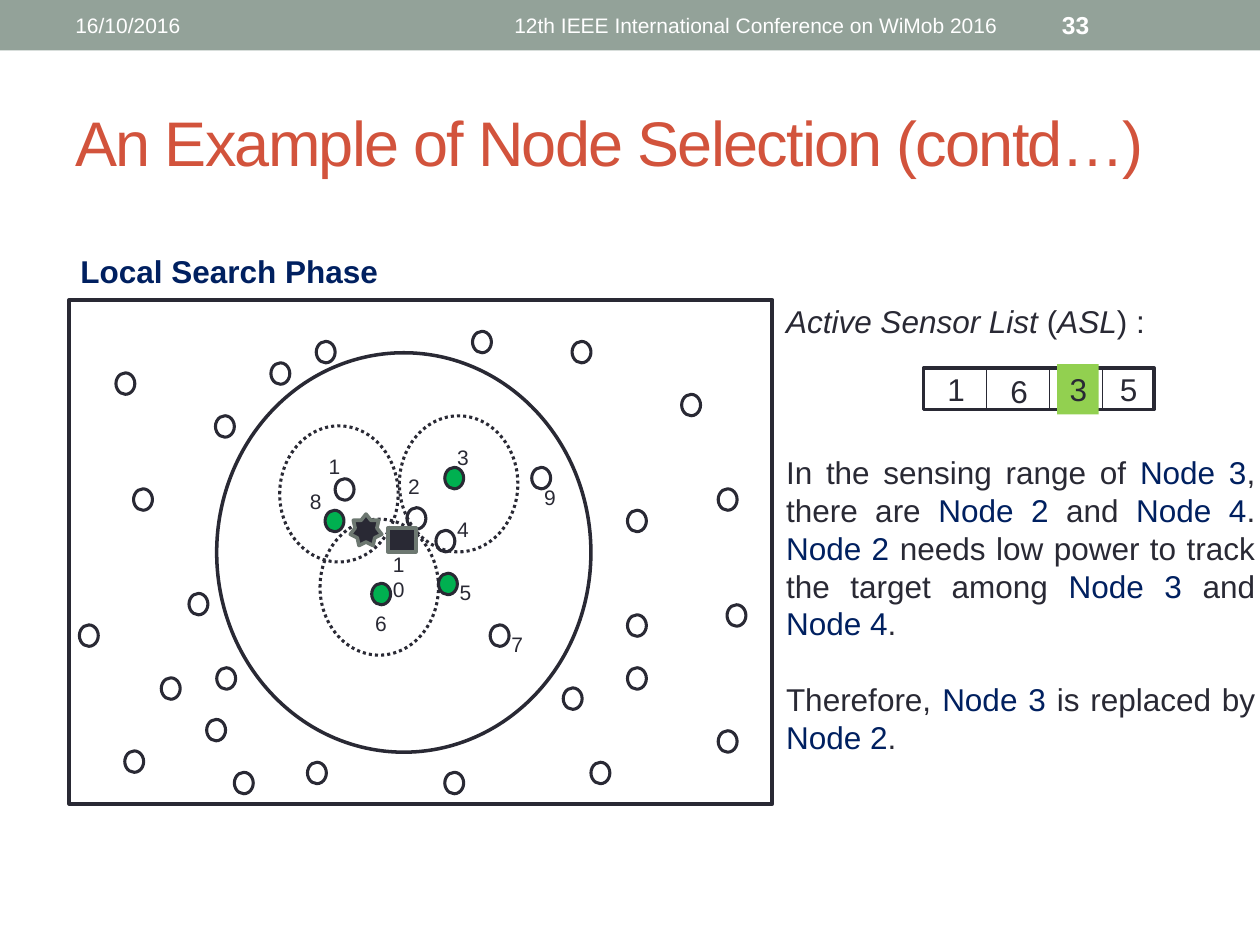
from lxml import etree
from pptx import Presentation
from pptx.dml.color import RGBColor
from pptx.enum import dml, shapes as sh, text as tx
from pptx.oxml.ns import qn
from pptx.util import Inches, Pt

INK, NAVY, GREEN, WHITE, EDGE = "292934", "002060", "00B050", "FFFFFF", "6D7871"
NODE_W, NODE_H = 0.15, 0.17
RANGE_W, RANGE_H = 0.94, 1.08

IDLE_NODES = [
    (1.96, 0.33), (0.08, 2.58), (3.99, 0.33), (0.95, 2.33), (0.37, 0.58), (1.16, 0.92),
    (0.51, 1.5), (0.44, 3.58), (4.43, 2.5), (4.86, 0.75), (5.15, 1.5), (5.15, 3.42),
    (5.22, 2.42), (1.31, 3.75), (1.17, 2.92), (0.73, 3), (1.89, 3.67), (1.09, 3.33),
    (2.98, 3.75), (3.2, 0.25), (3.92, 3.08), (4.43, 2.92), (1.6, 0.5), (2.68, 1.65),
    (3.67, 1.33), (2.91, 1.83), (4.43, 1.67), (3.34, 2.58), (4.14, 3.67),
]
ACTIVE_NODES = [(2.4, 2.25), (2.03, 1.67), (2.98, 1.33), (2.93, 2.17)]
SENSING_RANGES = [(1.67, 1), (1.99, 1.74), (2.62, 0.92)]
NODE_LABELS = [
    ("1", 1.96, 1.17, 0.26), ("8", 1.91, 1.45, 0.09), ("2", 2.59, 1.33, 0.26),
    ("3", 2.98, 1.1, 0.26), ("4", 2.98, 1.67, 0.26), ("10", 2.47, 1.95, 0.34),
    ("6", 2.33, 2.42, 0.26), ("5", 3, 2.17, 0.26), ("7", 3.41, 2.58, 0.26),
    ("9", 3.67, 1.42, 0.26),
]


def rgb(value):
    """Return the colour for a hex string."""
    return RGBColor.from_string(value)


def add_outline(shapes, kind, box, fill=None, line=INK, width=1.75):
    """Add a preset shape with an optional fill and outline."""
    outline = shapes.add_shape(kind, *map(Inches, box))
    outline.shadow.inherit = False
    if fill:
        outline.fill.solid()
        outline.fill.fore_color.rgb = rgb(fill)
    else:
        outline.fill.background()
    if line:
        outline.line.color.rgb = rgb(line)
        outline.line.width = Pt(width)
    else:
        outline.line.fill.background()
    return outline


def add_run(paragraph, words, size, colour=INK, bold=False, italic=False):
    """Append one formatted run and return it."""
    run = paragraph.add_run()
    run.text = words
    font = run.font
    font.name, font.size, font.bold, font.italic = "Arial", Pt(size), bold, italic
    font.color.rgb = rgb(colour)
    return run


def add_label(shapes, box, words, size, colour=INK, bold=False, wrap=True,
              anchor=tx.MSO_ANCHOR.TOP, align=tx.PP_ALIGN.LEFT):
    """Add a text box holding a single run."""
    label = shapes.add_textbox(*map(Inches, box))
    frame = label.text_frame
    frame.word_wrap = wrap
    frame.vertical_anchor = anchor
    frame.paragraphs[0].alignment = align
    add_run(frame.paragraphs[0], words, size, colour, bold)
    return label


def add_header(slide, left, top, width, height):
    """Draw the header band with date, conference and page number."""
    add_outline(slide.shapes, sh.MSO_SHAPE.RECTANGLE, (left, top, width, height), "93A299", None)
    for words, x, w, size, bold, align in [
        ("12th IEEE International Conference on WiMob 2016", 3.75, 4.5, 12, False, tx.PP_ALIGN.CENTER),
        ("33", 8.33, 1.17, 14, True, tx.PP_ALIGN.LEFT),
        ("16/10/2016", 0.5, 3.17, 12, False, tx.PP_ALIGN.LEFT),
    ]:
        add_label(slide.shapes, (left + x, top + 0.02, w, height - 0.04), words, size, WHITE,
                  bold, anchor=tx.MSO_ANCHOR.MIDDLE, align=align)


def add_title(slide, left, top, width, height):
    """Place and format the title placeholder."""
    title = slide.shapes.title
    title.left, title.top, title.width, title.height = map(Inches, (left, top, width, height))
    frame = title.text_frame
    frame.vertical_anchor = tx.MSO_ANCHOR.MIDDLE
    frame.paragraphs[0].alignment = tx.PP_ALIGN.LEFT
    run = add_run(frame.paragraphs[0], "An Example of Node Selection (contd…)", 36, "D2533C")
    run.font._element.set("spc", "-100")


def add_sensor_field(slide, left, top, width, height):
    """Draw the field with its nodes, sensing ranges, target and labels."""
    shapes, oval = slide.shapes, sh.MSO_SHAPE.OVAL
    add_label(shapes, (left - 0.01, top - 0.43, 2.82, 0.4), "Local Search Phase", 18, NAVY, True, False)
    add_outline(shapes, sh.MSO_SHAPE.RECTANGLE, (left, top, width, height), width=2.25)
    for fill, spots in [(None, IDLE_NODES), (GREEN, ACTIVE_NODES),
                        (WHITE, [(2.11, 1.42)]), (NAVY, [(2.54, 1.83)])]:
        for x, y in spots:
            add_outline(shapes, oval, (left + x, top + y, NODE_W, NODE_H), fill)
    add_outline(shapes, oval, (left + 1.17, top + 0.42, 2.97, 3.17), width=2)
    for x, y in SENSING_RANGES:
        sensing = add_outline(shapes, oval, (left + x, top + y, RANGE_W, RANGE_H))
        sensing.line.dash_style = dml.MSO_LINE.ROUND_DOT
    for words, x, y, w in NODE_LABELS:
        label = add_label(shapes, (left + x, top + y, w, 0.3), words, 12)
        if w < 0.2:
            label.text_frame.margin_left = label.text_frame.margin_right = 0
    for kind, x, y, w, h in [(sh.MSO_SHAPE.STAR_7_POINT, 2.23, 1.7, 0.25, 0.25),
                             (sh.MSO_SHAPE.RECTANGLE, 2.53, 1.81, 0.22, 0.19)]:
        add_outline(shapes, kind, (left + x, top + y, w, h), INK, EDGE, 2.08)


def add_explanation(slide, left, top, width, height):
    """Write the list heading and the reasoning beside the field."""
    frame = slide.shapes.add_textbox(*map(Inches, (left, top, width, height))).text_frame
    frame.word_wrap = True
    heading = frame.paragraphs[0]
    for words, italic in [("Active Sensor List ", True), ("(", False), ("ASL", True), (") :", False)]:
        add_run(heading, words, 18, italic=italic)
    for gap, runs in [
        (64.7, ["In the sensing range of ", "Node 3", ", there are ", "Node 2 ", "and ", "Node 4", ". ",
                "Node 2", " needs low power to track the target among ", "Node 3 ", "and ", "Node 4", "."]),
        (21.6, ["Therefore, ", "Node 3 ", "is replaced by ", "Node 2", "."]),
    ]:
        paragraph = frame.add_paragraph()
        paragraph.alignment = tx.PP_ALIGN.JUSTIFY
        paragraph.space_before = Pt(gap)
        for words in runs:
            add_run(paragraph, words, 18, NAVY if words.startswith("Node") else INK)


def add_active_list(slide, left, top, width, height):
    """Draw the active sensor list with the replaced node marked."""
    shapes = slide.shapes.add_group_shape().shapes
    add_outline(shapes, sh.MSO_SHAPE.RECTANGLE, (left, top, width, height), width=2.08)
    for x in (0.5, 1, 1.42):
        ends = (left + x, top, left + x, top + height)
        divider = shapes.add_connector(sh.MSO_CONNECTOR.STRAIGHT, *map(Inches, ends))
        divider.line.color.rgb = rgb(INK)
        divider.line.width = Pt(0.75)
        etree.SubElement(divider._element.spPr, qn("a:effectLst"))
    for words, x, y in [("1", 0.09, -0.03), ("6", 0.59, -0.02), ("3", 1.06, -0.03), ("5", 1.46, -0.03)]:
        entry = add_label(shapes, (left + x, top + y, 0.33, 0.4), words, 18)
        if words == "3":
            entry.fill.solid()
            entry.fill.fore_color.rgb = rgb("92D050")


def main():
    """Build the slide and save it."""
    deck = Presentation()
    deck.slide_width, deck.slide_height = Inches(10), Inches(7.5)
    slide = deck.slides.add_slide(deck.slide_layouts[5])
    add_header(slide, 0, 0, 10, 0.4)
    add_title(slide, 0.5, 0.58, 9, 1.08)
    add_sensor_field(slide, 0.55, 2.38, 5.58, 4)
    add_explanation(slide, 6.14, 2.35, 3.92, 4.04)
    add_active_list(slide, 7.33, 2.92, 1.83, 0.33)
    deck.save("out.pptx")


if __name__ == "__main__":
    main()
